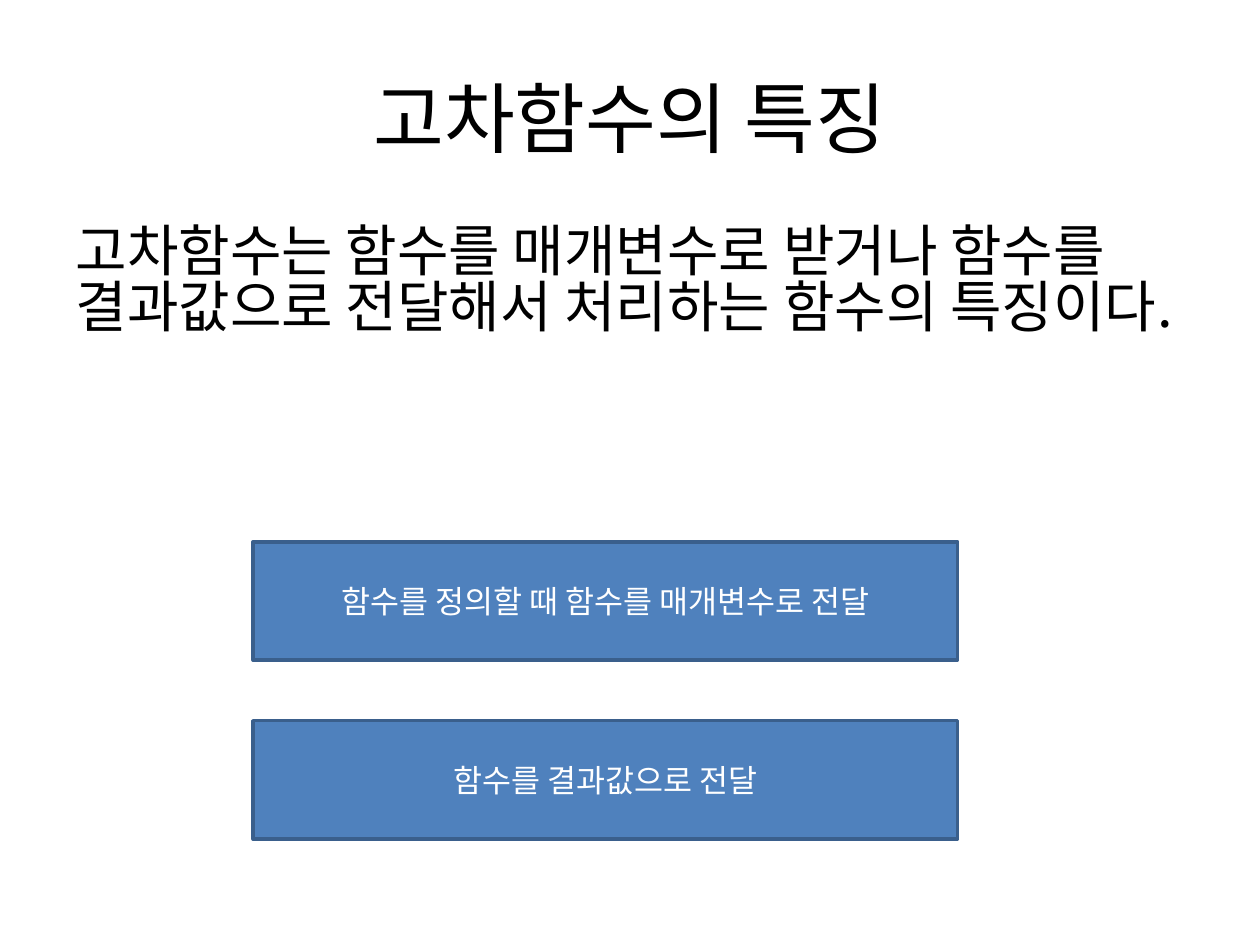
from dataclasses import dataclass

from lxml.etree import SubElement
from pptx import Presentation
from pptx.dml.color import RGBColor
from pptx.enum.shapes import MSO_SHAPE
from pptx.enum.text import MSO_ANCHOR, MSO_AUTO_SIZE, PP_ALIGN
from pptx.oxml.ns import qn
from pptx.shapes.base import BaseShape
from pptx.slide import Slide
from pptx.util import Inches, Pt


@dataclass(frozen=True)
class Theme:
    font: str = "Noto Sans CJK KR"
    ink: str = "000000"
    pale: str = "FFFFFF"
    fill: str = "4F81BD"
    edge: str = "3A5F8C"
    title: int = 44
    body: int = 32
    label: int = 18


@dataclass(frozen=True)
class Box:
    left: float
    top: float
    width: float
    height: float


THEME = Theme()
LABELS = ("함수를 정의할 때 함수를 매개변수로 전달", "함수를 결과값으로 전달")
FIRST = Box(2.01, 4.3, 5.59, 0.94)
STEP = 1.42


def place(shape: BaseShape, box: Box) -> None:
    shape.left, shape.top = Inches(box.left), Inches(box.top)
    shape.width, shape.height = Inches(box.width), Inches(box.height)


def write(shape: BaseShape, text: str, size: int, color: str,
          align: PP_ALIGN, anchor: MSO_ANCHOR) -> None:
    frame = shape.text_frame
    frame.text = text
    frame.word_wrap = True
    frame.auto_size = MSO_AUTO_SIZE.NONE
    frame.vertical_anchor = anchor
    line = frame.paragraphs[0]
    line.alignment = align
    font = line.runs[0].font
    font.size = Pt(size)
    font.color.rgb = RGBColor.from_string(color)
    font.name = THEME.font
    props = line.runs[0]._r.get_or_add_rPr()
    SubElement(props, qn("a:ea")).set("typeface", THEME.font)


def plain(shape: BaseShape) -> None:
    line = shape.text_frame.paragraphs[0]
    line.line_spacing = 0.83
    props = line._p.get_or_add_pPr()
    props.set("marL", "0")
    props.set("indent", "0")
    SubElement(props, qn("a:buNone"))


def panel(slide: Slide, text: str, box: Box) -> None:
    shape = slide.shapes.add_shape(MSO_SHAPE.RECTANGLE, 0, 0, 0, 0)
    place(shape, box)
    shape.shadow.inherit = False
    shape.fill.solid()
    shape.fill.fore_color.rgb = RGBColor.from_string(THEME.fill)
    shape.line.color.rgb = RGBColor.from_string(THEME.edge)
    shape.line.width = Pt(2)
    write(shape, text, THEME.label, THEME.pale,
          PP_ALIGN.CENTER, MSO_ANCHOR.MIDDLE)


def main() -> None:
    deck = Presentation()
    deck.slide_width, deck.slide_height = Inches(10), Inches(7.5)
    slide = deck.slides.add_slide(deck.slide_layouts[1])

    title = slide.shapes.title
    place(title, Box(0.5, 0.3, 9, 1.25))
    write(title, "고차함수의 특징", THEME.title, THEME.ink,
          PP_ALIGN.CENTER, MSO_ANCHOR.MIDDLE)

    body = slide.placeholders[1]
    place(body, Box(0.5, 1.75, 8.83, 1.61))
    write(body, "고차함수는 함수를 매개변수로 받거나 함수를 결과값으로 "
          "전달해서 처리하는 함수의 특징이다.", THEME.body, THEME.ink,
          PP_ALIGN.LEFT, MSO_ANCHOR.TOP)
    plain(body)

    for row, text in enumerate(LABELS):
        panel(slide, text, Box(FIRST.left, FIRST.top + row * STEP,
                               FIRST.width, FIRST.height))
    deck.save("out.pptx")


if __name__ == "__main__":
    main()
